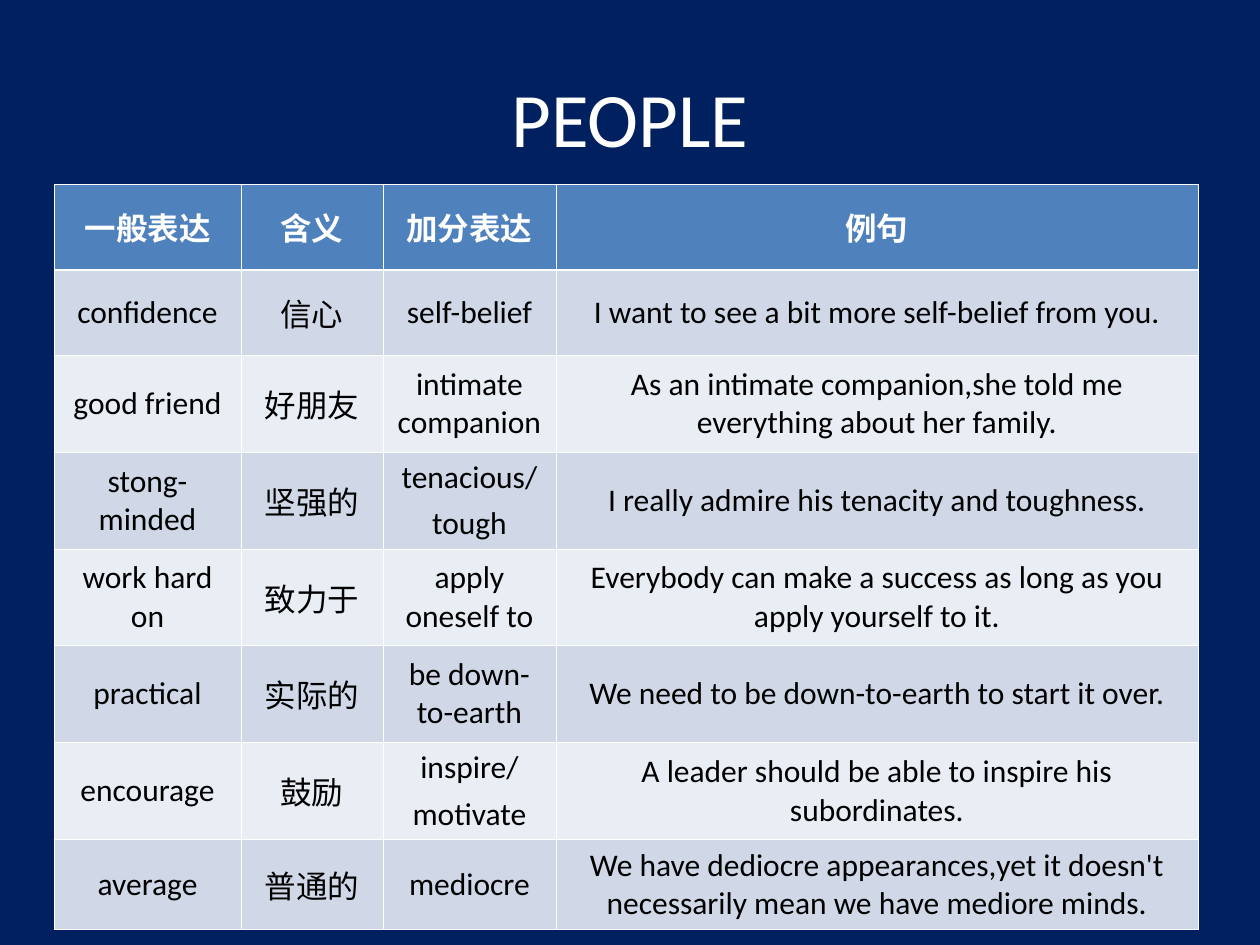
from lxml import etree
from pptx import Presentation
from pptx import util as u
from pptx.dml.color import RGBColor
from pptx.enum import text
from pptx.oxml import ns

EMU_PER_PX = 914400 / 126
FONT = "Calibri"
COLORS = {
    "background": "002060",
    "header": "4F81BD",
    "odd_row": "D0D8E8",
    "even_row": "E9EDF4",
    "light": "FFFFFF",
    "dark": "000000",
}
COLUMN_WIDTHS = [187, 142, 173, 642]
ROW_HEIGHTS = [86, 85, 97, 97, 96, 97, 97, 90]
THIN, THICK = 0.45, 1.47
VOCABULARY = [
    ("一般表达", "含义", "加分表达", "例句"),
    ("confidence", "信心", "self-belief",
     "I want to see a bit more self-belief from you."),
    ("good friend", "好朋友", "intimate companion",
     "As an intimate companion,she told me everything about her family."),
    ("stong-minded", "坚强的", "tenacious/\ntough",
     "I really admire his tenacity and toughness."),
    ("work hard on", "致力于", "apply oneself to",
     "Everybody can make a success as long as you apply yourself to it."),
    ("practical", "实际的", "be down-to-earth",
     "We need to be down-to-earth to start it over."),
    ("encourage", "鼓励", "inspire/\nmotivate",
     "A leader should be able to inspire his subordinates."),
    ("average", "普通的", "mediocre",
     "We have dediocre appearances,yet it doesn't necessarily mean "
     "we have mediore minds."),
]


def px(length):
    return u.Emu(round(length * EMU_PER_PX))


def color(name):
    return RGBColor.from_string(COLORS[name])


def format_paragraph(paragraph, size, color_name, bold=False):
    paragraph.alignment = text.PP_ALIGN.CENTER
    font = paragraph.font
    font.name, font.size, font.bold = FONT, u.Pt(size), bold
    font.color.rgb = color(color_name)


def set_borders(cell, top, bottom):
    """Draw the four edges; top and bottom widths are in points."""
    properties = cell._tc.get_or_add_tcPr()
    widths = {"a:lnL": THIN, "a:lnR": THIN, "a:lnT": top, "a:lnB": bottom}
    for position, (tag, width) in enumerate(widths.items()):
        line = etree.Element(ns.qn(tag), w=str(u.Pt(width)))
        fill = etree.SubElement(line, ns.qn("a:solidFill"))
        etree.SubElement(fill, ns.qn("a:srgbClr"), val=COLORS["light"])
        properties.insert(position, line)


def fill_cell(cell, wording, row):
    is_header = row == 0
    cell.text = wording
    cell.vertical_anchor = text.MSO_ANCHOR.MIDDLE
    for paragraph in cell.text_frame.paragraphs:
        format_paragraph(paragraph, 18, "light" if is_header else "dark", is_header)
        paragraph.space_before = u.Pt(4.5)
    band = "header" if is_header else "odd_row" if row % 2 else "even_row"
    cell.fill.solid()
    cell.fill.fore_color.rgb = color(band)
    set_borders(cell, THICK if row == 1 else THIN, THICK if is_header else THIN)


def add_title(slide, wording):
    title = slide.shapes.title
    title.left, title.top, title.width, title.height = map(px, (63, 38, 1134, 157))
    title.text_frame.text = wording
    title.text_frame.vertical_anchor = text.MSO_ANCHOR.MIDDLE
    format_paragraph(title.text_frame.paragraphs[0], 44, "light")


def add_vocabulary_table(slide):
    table = slide.shapes.add_table(
        len(ROW_HEIGHTS), len(COLUMN_WIDTHS), px(54), px(184),
        px(sum(COLUMN_WIDTHS)), px(sum(ROW_HEIGHTS))).table
    for column, width in zip(table.columns, COLUMN_WIDTHS):
        column.width = px(width)
    for row, height in zip(table.rows, ROW_HEIGHTS):
        row.height = px(height)
    for row, entry in enumerate(VOCABULARY):
        for column, wording in enumerate(entry):
            fill_cell(table.cell(row, column), wording, row)


def main():
    deck = Presentation()
    deck.slide_width, deck.slide_height = px(1260), px(945)
    slide = deck.slides.add_slide(deck.slide_layouts[5])
    slide.background.fill.solid()
    slide.background.fill.fore_color.rgb = color("background")
    add_title(slide, "PEOPLE")
    add_vocabulary_table(slide)
    deck.save("out.pptx")


if __name__ == "__main__":
    main()
